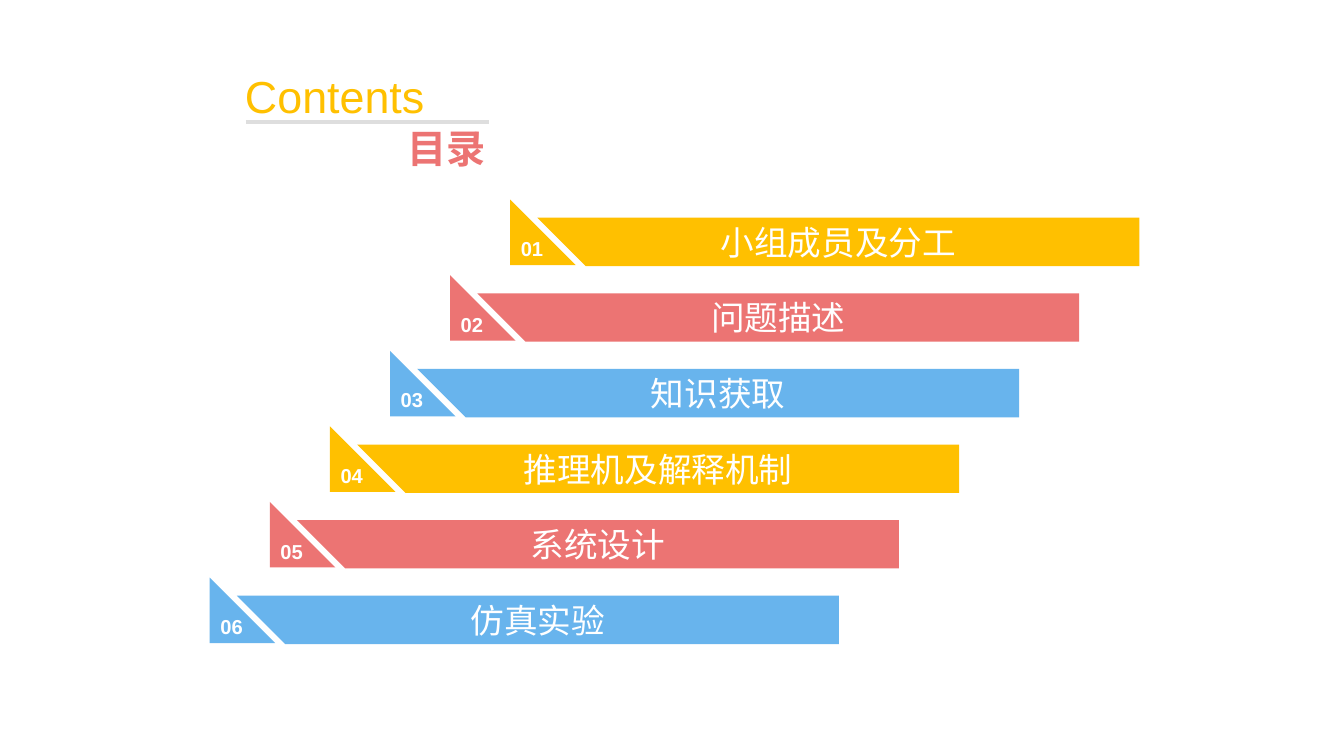
import pptx
import pptx.util
import pptx.dml.color
import pptx.enum.shapes
import pptx.enum.text
import pptx.oxml
import pptx.oxml.ns

Inches = pptx.util.Inches
ALIGN = pptx.enum.text.PP_ALIGN
ANCHOR = pptx.enum.text.MSO_ANCHOR
COLORS = {"gold": "FFC000", "coral": "EC7473", "blue": "68B4ED",
          "white": "FFFFFF", "gray": "DEDEDE"}
RGB = {name: pptx.dml.color.RGBColor.from_string(code) for name, code in COLORS.items()}
CJK = "Noto Sans CJK SC"


def write(shape, text, size, color, face="Arial", bold=False, align=ALIGN.LEFT,
          anchor=ANCHOR.TOP, inset=(0.1, 0.05)):
    """Put one formatted line of text in a shape; inset is (sides, top and bottom)."""
    frame = shape.text_frame
    frame.text = text
    frame.word_wrap = True
    frame.auto_size = pptx.enum.text.MSO_AUTO_SIZE.NONE
    frame.vertical_anchor = anchor
    frame.margin_left = frame.margin_right = Inches(inset[0])
    frame.margin_top = frame.margin_bottom = Inches(inset[1])
    line = frame.paragraphs[0]
    line.alignment = align
    font = line.runs[0].font
    font.name, font.size, font.bold = face, pptx.util.Pt(size), bold
    font.color.rgb = RGB[color]
    east = pptx.oxml.parse_xml(
        f'<a:ea {pptx.oxml.ns.nsdecls("a")} typeface="{CJK}"/>')
    font._element.find(pptx.oxml.ns.qn("a:latin")).addnext(east)


def paint(shape, color):
    shape.shadow.inherit = False
    shape.fill.solid()
    shape.fill.fore_color.rgb = RGB[color]
    shape.line.fill.background()


deck = pptx.Presentation()
deck.slide_width, deck.slide_height = Inches(13.33), Inches(7.5)
slide = deck.slides.add_slide(deck.slide_layouts[5])
shapes = slide.shapes

# Staircase of numbered bars
topics = ["小组成员及分工", "问题描述", "知识获取", "推理机及解释机制", "系统设计", "仿真实验"]
hues = ["gold", "coral", "blue"]
wide, high, side = 5.97, 0.48, 0.65
for i, topic in enumerate(topics):
    hue = hues[i % len(hues)]
    left = 5.33 - 2.98 * i / 5
    top = 2.16 + 0.75 * i

    pen = shapes.build_freeform(Inches(left), Inches(top))
    pen.add_line_segments([(Inches(x), Inches(y)) for x, y in (
        (left + wide, top), (left + wide, top + high), (left + high, top + high))])
    bar = pen.convert_to_shape()
    paint(bar, hue)
    write(bar, topic, 24, "white", face=CJK, align=ALIGN.CENTER,
          anchor=ANCHOR.MIDDLE, inset=(0.07, 0.04))

    tab = shapes.add_shape(pptx.enum.shapes.MSO_SHAPE.RIGHT_TRIANGLE, Inches(left - 0.27),
                           Inches(top - 0.18), Inches(side), Inches(side))
    paint(tab, hue)
    write(tab, f"{i + 1:02}", 14.4, "white", bold=True, align=ALIGN.CENTER,
          anchor=ANCHOR.MIDDLE, inset=(0, 0))

# Heading
title = shapes.title
title.left, title.top = Inches(2.33), Inches(0.63)
title.width, title.height = Inches(2.08), Inches(0.57)
write(title, "Contents", 32, "gold")

label = shapes.add_textbox(Inches(3.94), Inches(1.18), Inches(1.19), Inches(0.6))
write(label, "目录", 28, "coral", bold=True)

rule = shapes.add_connector(pptx.enum.shapes.MSO_CONNECTOR.STRAIGHT,
                            Inches(2.44), Inches(1.21), Inches(4.85), Inches(1.21))
rule.line.color.rgb = RGB["gray"]
rule.line.width = pptx.util.Pt(2.25)
rule._element.spPr.append(pptx.oxml.parse_xml(
    f'<a:effectLst {pptx.oxml.ns.nsdecls("a")}/>'))

deck.save("out.pptx")
